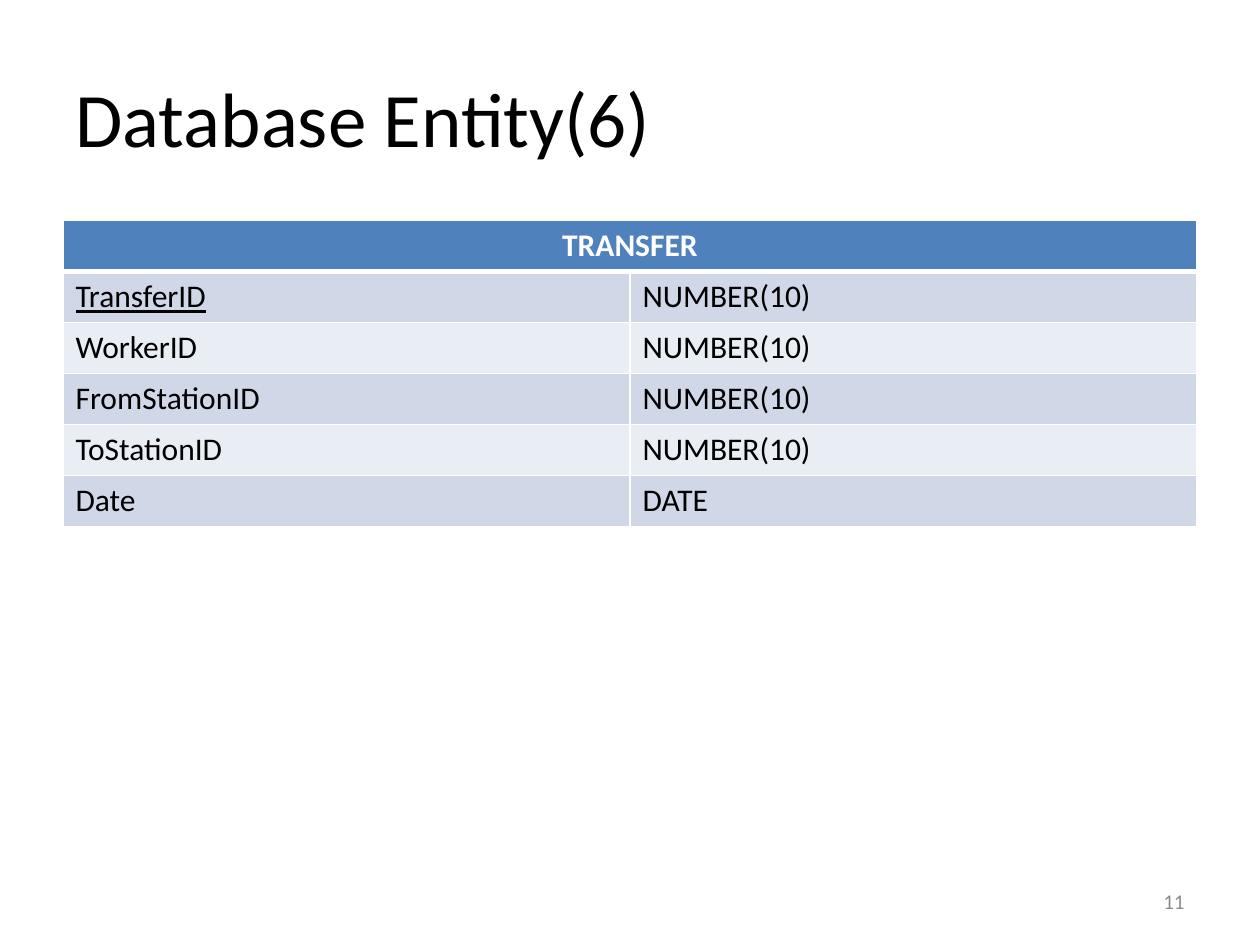
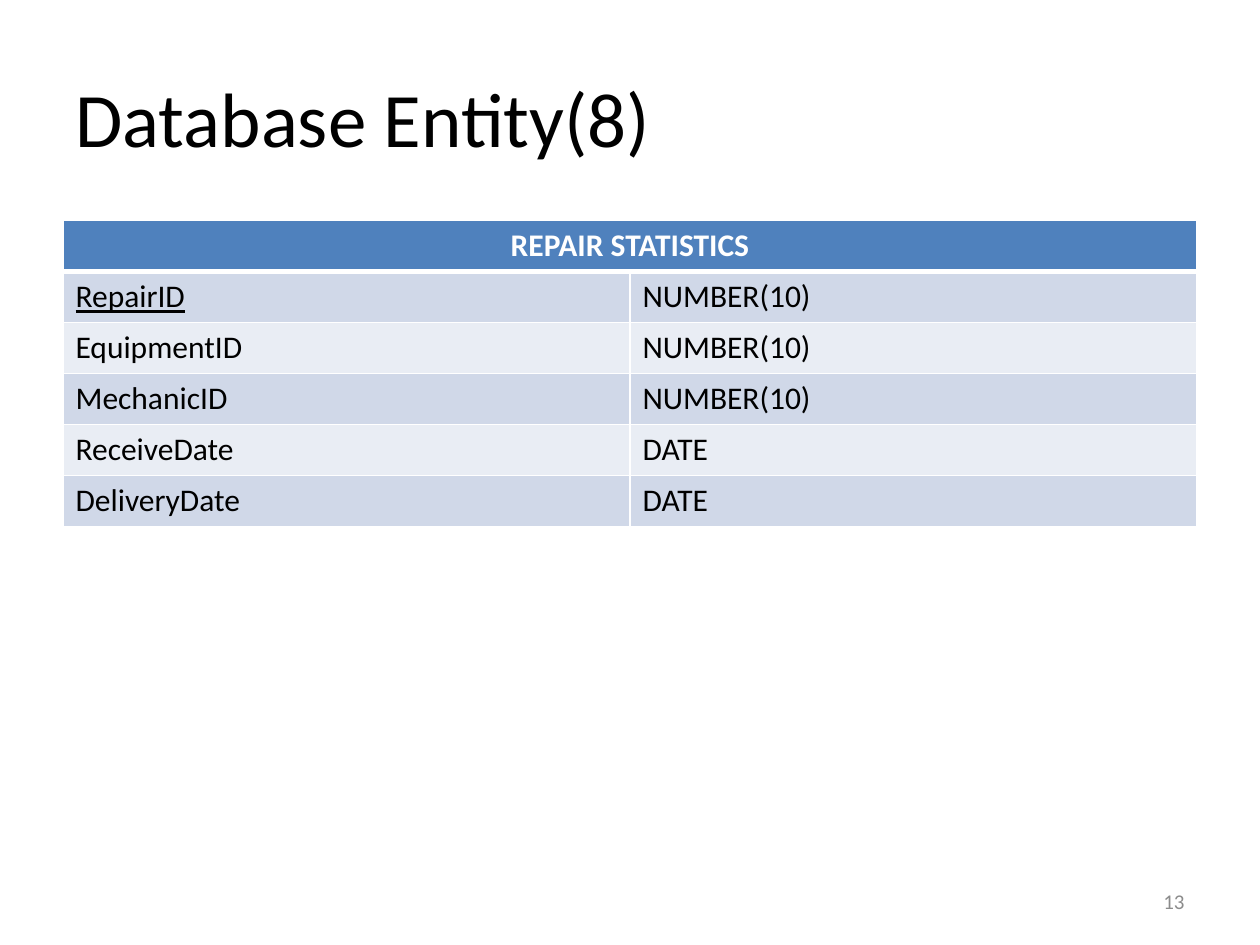
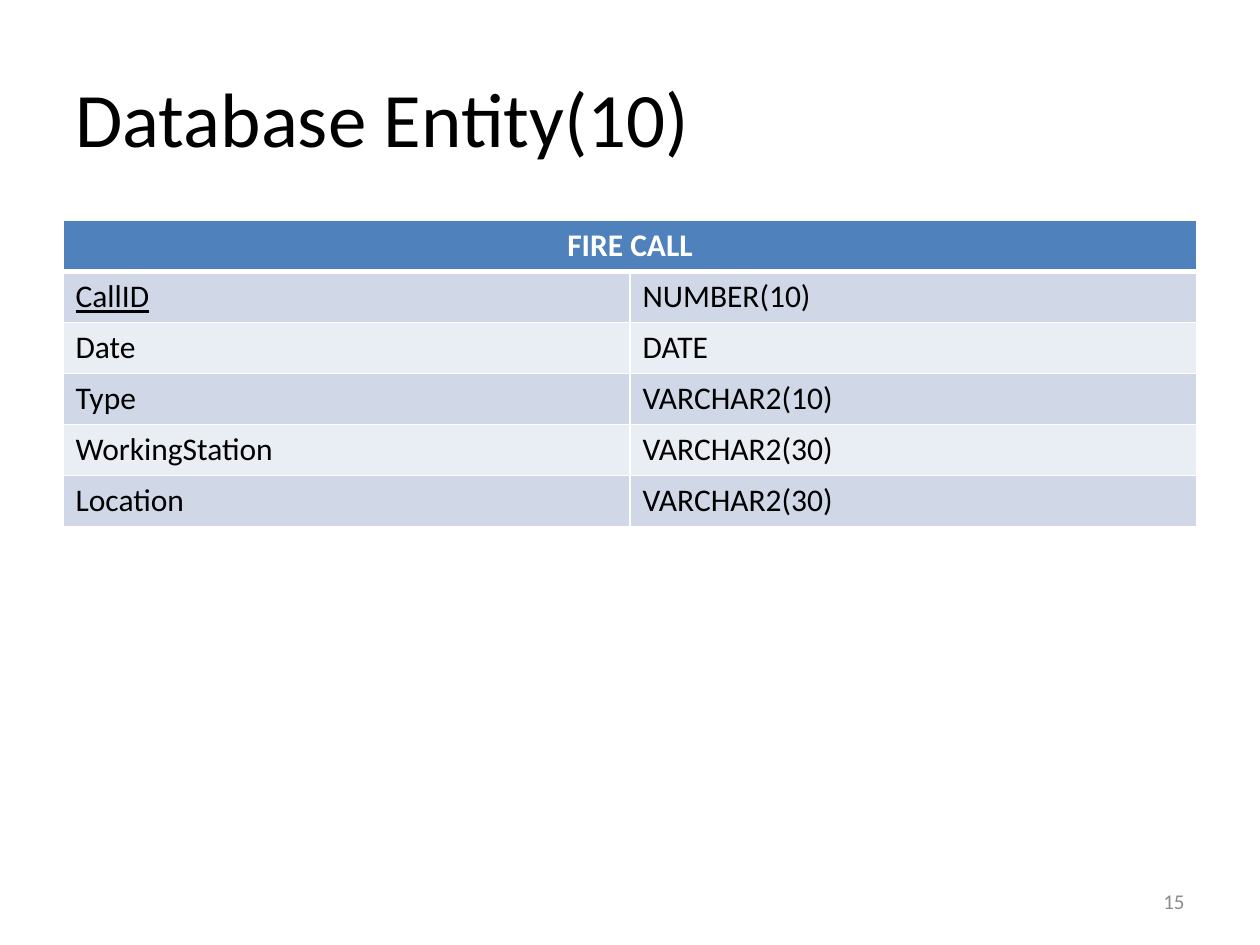
from dataclasses import dataclass

import pptx
import pptx.util
import pptx.oxml
import pptx.oxml.ns
import pptx.dml.color
import pptx.enum.text
from pptx.dml.color import RGBColor

WHITE = RGBColor(0xFF, 0xFF, 0xFF)
BLACK = RGBColor(0x00, 0x00, 0x00)
GREY = RGBColor(0x8C, 0x8C, 0x8C)
BLUE = RGBColor(0x4F, 0x81, 0xBD)
DARK = RGBColor(0xD0, 0xD8, 0xE8)
LIGHT = RGBColor(0xE9, 0xED, 0xF4)

FONT = "Calibri"
WIDE = pptx.util.Inches(10)
HIGH = pptx.util.Inches(7.5)
ALIGN = pptx.enum.text.PP_ALIGN
LEFT, CENTER, RIGHT = ALIGN.LEFT, ALIGN.CENTER, ALIGN.RIGHT
MIDDLE = pptx.enum.text.MSO_ANCHOR.MIDDLE


@dataclass(frozen=True)
class Box:
    left: float
    top: float
    width: float
    height: float

    def place(self) -> tuple[int, int, int, int]:
        return (int(self.left * WIDE), int(self.top * HIGH),
                int(self.width * WIDE), int(self.height * HIGH))


@dataclass(frozen=True)
class Style:
    size: int
    color: RGBColor
    align: ALIGN = LEFT
    bold: bool = False
    under: bool = False


@dataclass(frozen=True)
class Entity:
    title: str
    page: int
    name: str
    fields: tuple[tuple[str, str], ...]


MARGIN = 0.05
SPAN = 1 - 2 * MARGIN
TITLE = Box(MARGIN, 0.3 / 7.5, SPAN, 1.25 / 7.5)
GRID = Box(MARGIN, 1.75 / 7.5, SPAN, 2.43 / 7.5)
FOOTER = Box(0.717, 6.95 / 7.5, 0.233, 0.4 / 7.5)

HEADING = Style(44, BLACK)
NUMBER = Style(12, GREY, RIGHT)
HEADER = Style(18, WHITE, CENTER, bold=True)
BODY = Style(18, BLACK)
KEY = Style(18, BLACK, under=True)

ENTITIES = (
    Entity("Database Entity(6)", 11, "TRANSFER", (
        ("TransferID", "NUMBER(10)"),
        ("WorkerID", "NUMBER(10)"),
        ("FromStationID", "NUMBER(10)"),
        ("ToStationID", "NUMBER(10)"),
        ("Date", "DATE"),
    )),
    Entity("Database Entity(8)", 13, "REPAIR STATISTICS", (
        ("RepairID", "NUMBER(10)"),
        ("EquipmentID", "NUMBER(10)"),
        ("MechanicID", "NUMBER(10)"),
        ("ReceiveDate", "DATE"),
        ("DeliveryDate", "DATE"),
    )),
    Entity("Database Entity(10)", 15, "FIRE CALL", (
        ("CallID", "NUMBER(10)"),
        ("Date", "DATE"),
        ("Type", "VARCHAR2(10)"),
        ("WorkingStation", "VARCHAR2(30)"),
        ("Location", "VARCHAR2(30)"),
    )),
)


def write(frame, text: str, style: Style) -> None:
    frame.text = text
    line = frame.paragraphs[0]
    line.alignment = style.align
    font = line.runs[0].font
    font.name = FONT
    font.size = pptx.util.Pt(style.size)
    font.color.rgb = style.color
    font.bold = style.bold
    font.underline = style.under


def label(slide, box: Box, text: str, style: Style) -> None:
    frame = slide.shapes.add_textbox(*box.place()).text_frame
    frame.word_wrap = True
    frame.vertical_anchor = MIDDLE
    write(frame, text, style)


def border(cell, top: int, bottom: int) -> None:
    props = cell._tc.get_or_add_tcPr()
    space = pptx.oxml.ns.nsdecls("a")
    for side, width in (("L", 1), ("R", 1), ("T", top), ("B", bottom)):
        props.append(pptx.oxml.parse_xml(
            f'<a:ln{side} {space} w="{pptx.util.Pt(width)}">'
            f'<a:solidFill><a:srgbClr val="{WHITE}"/></a:solidFill>'
            f'</a:ln{side}>'))


def paint(cell, text: str, style: Style, fill: RGBColor,
          top: int = 1, bottom: int = 1) -> None:
    border(cell, top, bottom)
    cell.fill.solid()
    cell.fill.fore_color.rgb = fill
    write(cell.text_frame, text, style)


def chart(slide, entity: Entity) -> None:
    count = len(entity.fields) + 1
    place = GRID.place()
    table = slide.shapes.add_table(count, 2, *place).table
    for row in table.rows:
        row.height = place[3] // count
    head = table.cell(0, 0)
    head.merge(table.cell(0, 1))
    paint(head, entity.name, HEADER, BLUE, bottom=3)
    for row, (field, kind) in enumerate(entity.fields, 1):
        first = row == 1
        fill = DARK if row % 2 else LIGHT
        top = 3 if first else 1
        paint(table.cell(row, 0), field, KEY if first else BODY, fill, top)
        paint(table.cell(row, 1), kind, BODY, fill, top)


def main() -> None:
    deck = pptx.Presentation()
    deck.slide_width, deck.slide_height = WIDE, HIGH
    for entity in ENTITIES:
        slide = deck.slides.add_slide(deck.slide_layouts[6])
        label(slide, TITLE, entity.title, HEADING)
        chart(slide, entity)
        label(slide, FOOTER, str(entity.page), NUMBER)
    deck.save("out.pptx")


if __name__ == "__main__":
    main()
